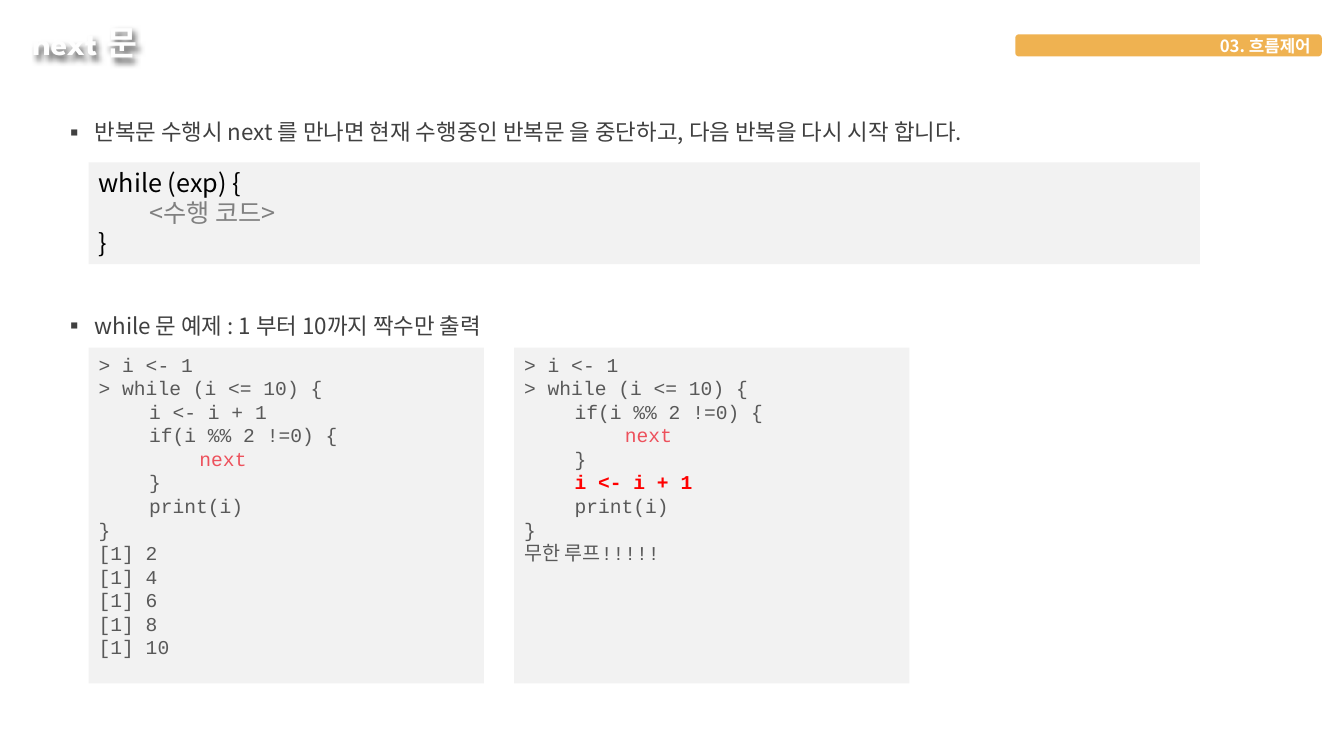
from lxml import etree
from pptx import Presentation
from pptx.dml.color import RGBColor
from pptx.enum.shapes import MSO_SHAPE as Shape
from pptx.enum.text import MSO_ANCHOR as Anchor, MSO_AUTO_SIZE as AutoSize, PP_ALIGN as Align
from pptx.oxml.ns import qn
from pptx.util import Inches, Pt

COLORS = {
    "title": "FEFEFE", "white": "FFFFFF", "tag": "EFB251", "body": "404040",
    "panel": "F2F2F2", "black": "000000", "hint": "808080", "code": "595959",
    "next": "ED515C", "alert": "FF0000", "shadow": "000000",
}
KOREAN = "Noto Sans CJK KR"
MONO = "Courier New"
HEADING = "League Spartan"


def rgb(name):
    return RGBColor.from_string(COLORS[name])


class SlideBuilder:
    def __init__(self, deck):
        self.slide = deck.slides.add_slide(deck.slide_layouts[5])

    def style(self, font, family, size, color, bold=False):
        font.name, font.size, font.bold = family, Pt(size), bold
        font.color.rgb = rgb(color)

    def title(self, text, left, top, width, height):
        heading = self.slide.shapes.title
        heading.left, heading.top = Inches(left), Inches(top)
        heading.width, heading.height = Inches(width), Inches(height)
        frame = heading.text_frame
        frame.text = text
        frame.auto_size = AutoSize.NONE
        frame.vertical_anchor = Anchor.BOTTOM
        frame.paragraphs[0].alignment = Align.LEFT
        self.style(frame.paragraphs[0].font, HEADING, 24, "title", True)
        effects = etree.SubElement(heading.element.spPr, qn("a:effectLst"))
        shadow = etree.SubElement(effects, qn("a:outerShdw"), blurRad="50800",
                                  dist="38100", dir="2700000", algn="tl")
        tint = etree.SubElement(shadow, qn("a:srgbClr"), val=COLORS["shadow"])
        etree.SubElement(tint, qn("a:alpha"), val="60000")

    def block(self, kind, fill, left, top, width, height):
        block = self.slide.shapes.add_shape(
            kind, Inches(left), Inches(top), Inches(width), Inches(height))
        block.shadow.inherit = False
        block.fill.solid()
        block.fill.fore_color.rgb = rgb(fill)
        block.line.fill.background()
        return block

    def tag(self, text, left, top, width, height):
        frame = self.block(Shape.ROUNDED_RECTANGLE, "tag", left, top, width, height).text_frame
        frame.text = text
        frame.vertical_anchor = Anchor.MIDDLE
        frame.paragraphs[0].alignment = Align.RIGHT
        self.style(frame.paragraphs[0].font, KOREAN, 12, "white", True)

    def bullet(self, text, left, top, width, height):
        box = self.slide.shapes.add_textbox(
            Inches(left), Inches(top), Inches(width), Inches(height))
        box.text_frame.word_wrap = True
        box.text_frame.text = text
        line = box.text_frame.paragraphs[0]
        line.line_spacing = 1.5
        props = line._p.get_or_add_pPr()
        props.set("marL", str(Inches(0.31)))
        props.set("indent", str(Inches(-0.31)))
        etree.SubElement(props, qn("a:buFont"), typeface=KOREAN)
        etree.SubElement(props, qn("a:buChar"), char="▪")
        self.style(line.font, KOREAN, 16, "body")

    def code(self, lines, family, size, color, left, top, width, height):
        """Each line is (indent level, text) or (indent level, text, color, bold)."""
        frame = self.block(Shape.RECTANGLE, "panel", left, top, width, height).text_frame
        frame.vertical_anchor = Anchor.TOP
        for number, (level, text, *accent) in enumerate(lines):
            line = frame.paragraphs[0] if number == 0 else frame.add_paragraph()
            line.alignment = Align.LEFT
            stops = etree.SubElement(line._p.get_or_add_pPr(), qn("a:tabLst"))
            for stop in (0.5, 1):
                etree.SubElement(stops, qn("a:tab"), pos=str(Inches(stop)), algn="l")
            line.add_run().text = "\t" * level + text
            self.style(line.font, family, size, *(accent or (color,)))


def main():
    deck = Presentation()
    deck.slide_width, deck.slide_height = Inches(13.33), Inches(7.5)
    page = SlideBuilder(deck)

    page.title("next 문", 0.22, 0.09, 11.56, 0.58)
    page.tag("03. 흐름제어", 10.07, 0.34, 3.04, 0.22)

    page.bullet("반복문 수행시 next 를 만나면 현재 수행중인 반복문 을 중단하고, 다음 반복을 다시 시작 합니다.",
                0.53, 0.99, 10.5, 0.47)
    syntax = [(0, "while (exp) {"), (1, "<수행 코드>", "hint"), (0, "}")]
    page.code(syntax, KOREAN, 18, "black", 0.88, 1.61, 11.02, 1.01)

    page.bullet("while 문 예제 : 1 부터 10까지 짝수만 출력", 0.53, 2.91, 10.5, 0.47)
    loop_start = [(0, "> i <- 1"), (0, "> while (i <= 10) {")]
    skip_odd = [(1, "if(i %% 2 !=0) {"), (2, "next", "next"), (1, "}")]
    loop_end = [(1, "print(i)"), (0, "}")]
    output = [(0, f"[1] {even}") for even in range(2, 11, 2)]
    working = loop_start + [(1, "i <- i + 1")] + skip_odd + loop_end + output
    endless = (loop_start + skip_odd + [(1, "i <- i + 1", "alert", True)]
               + loop_end + [(0, "무한 루프!!!!!")])
    for column, example in enumerate((working, endless)):
        page.code(example, MONO, 14, "code", 0.88 + column * 4.22, 3.45, 3.92, 3.33)

    deck.save("out.pptx")


if __name__ == "__main__":
    main()
